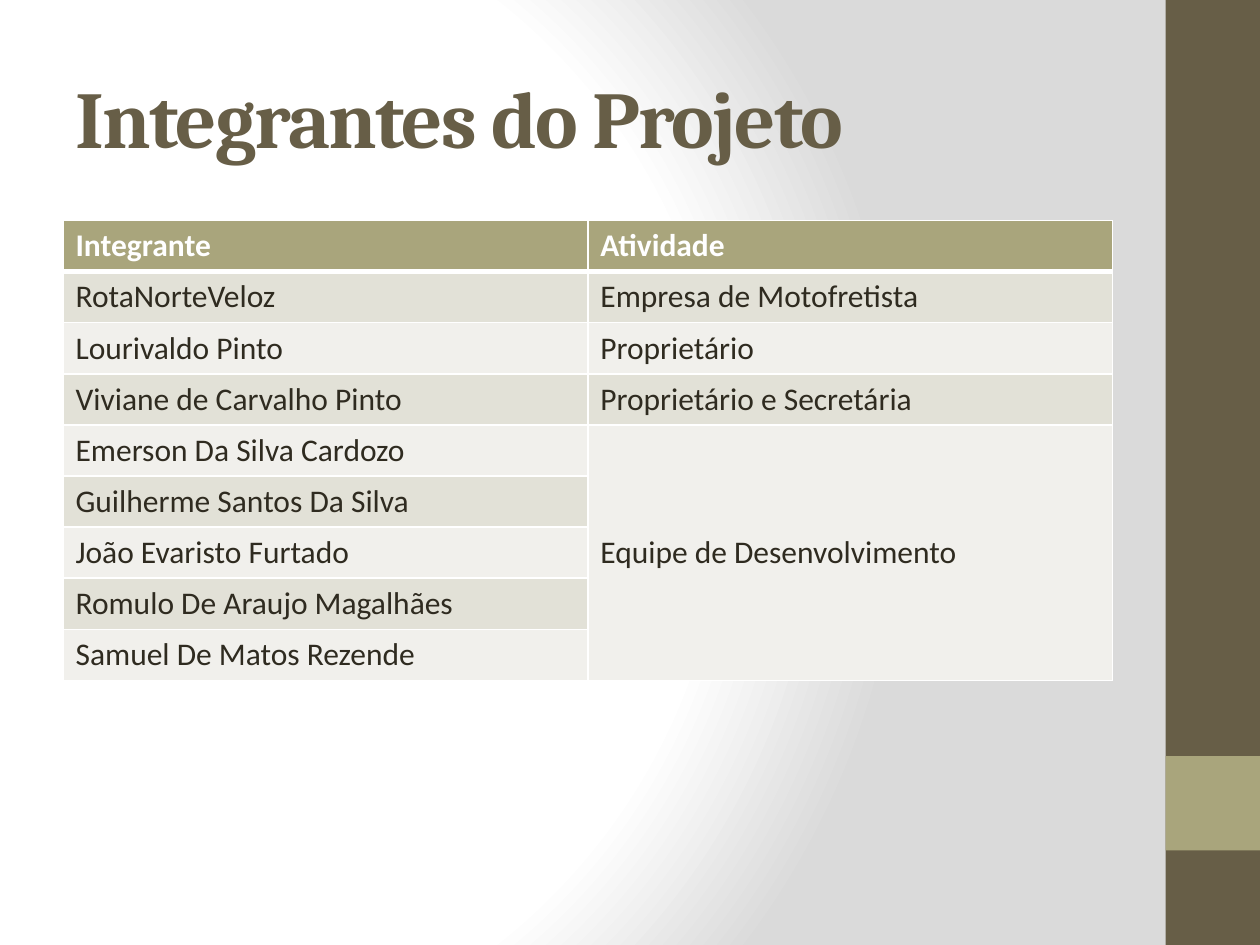
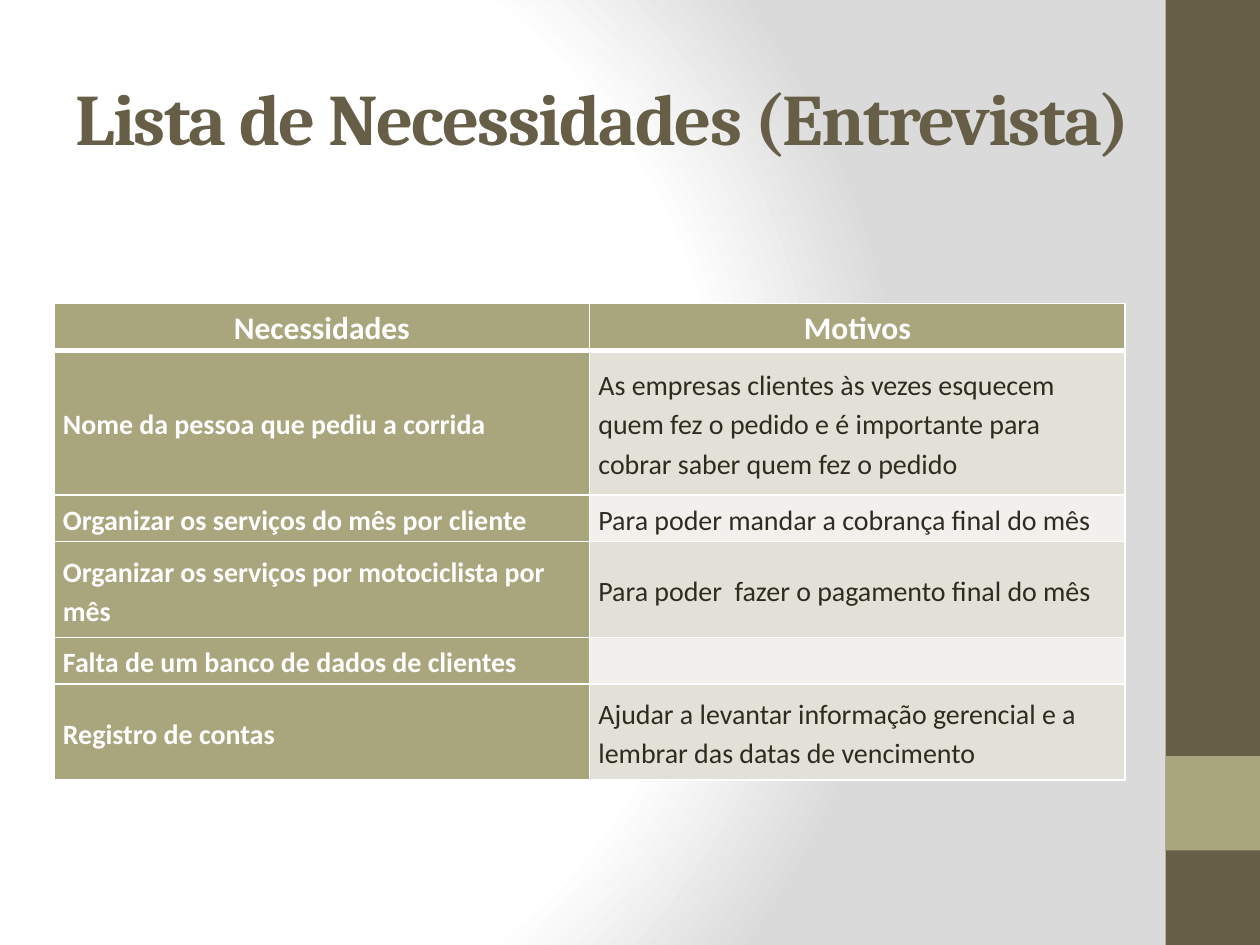
from pptx import Presentation
from pptx.dml.color import RGBColor
from pptx.enum.shapes import MSO_SHAPE
from pptx.enum.text import MSO_ANCHOR, MSO_AUTO_SIZE, PP_ALIGN
from pptx.oxml import parse_xml
from pptx.oxml.ns import nsdecls, qn
from pptx.util import Inches, Pt

BROWN, OLIVE, INK, WHITE = "675E47", "A9A57C", "2F2B20", "FFFFFF"
BANDS = ("F1F0EC", "E2E1D7")
HEAD_FONT, BODY_FONT = "Cambria", "Calibri"
BACKDROP = ((0, WHITE), (75, WHITE), (100, "DADADA"))

MEMBERS = [
    ("Integrante", "Atividade"),
    ("RotaNorteVeloz", "Empresa de Motofretista"),
    ("Lourivaldo Pinto", "Proprietário"),
    ("Viviane de Carvalho Pinto", "Proprietário e Secretária"),
    ("Emerson Da Silva Cardozo", "Equipe de Desenvolvimento"),
    ("Guilherme Santos Da Silva", ""),
    ("João Evaristo Furtado", ""),
    ("Romulo De Araujo Magalhães", ""),
    ("Samuel De Matos Rezende", ""),
]
NEEDS = [
    ("Necessidades", "Motivos"),
    ("Nome da pessoa que pediu a corrida",
     "As empresas clientes às vezes esquecem quem fez o pedido e é importante "
     "para cobrar saber quem fez o pedido"),
    ("Organizar os serviços do mês por cliente",
     "Para poder mandar a cobrança final do mês"),
    ("Organizar os serviços por motociclista por mês",
     "Para poder  fazer o pagamento final do mês"),
    ("Falta de um banco de dados de clientes", ""),
    ("Registro de contas",
     "Ajudar a levantar informação gerencial e a lembrar das datas de vencimento"),
]


def rgb(color):
    return RGBColor.from_string(color)


def set_backdrop(master):
    """Give the master a radial gradient centred left of the middle."""
    master.background.fill.solid()
    bg = master.element.find(".//" + qn("p:bgPr"))
    stops = "".join(
        f'<a:gs pos="{pos * 1000}"><a:srgbClr val="{color}"/></a:gs>'
        for pos, color in BACKDROP)
    bg.replace(bg[0], parse_xml(
        f'<a:gradFill {nsdecls("a")} rotWithShape="1"><a:gsLst>{stops}</a:gsLst>'
        '<a:path path="circle"><a:fillToRect l="20000" t="50000" r="100000" '
        'b="50000"/></a:path></a:gradFill>'))


def set_borders(cell, top, bottom):
    """Draw white cell borders, with top and bottom widths in points."""
    sides = (("lnL", 1), ("lnR", 1), ("lnT", top), ("lnB", bottom))
    tcPr = cell._tc.get_or_add_tcPr()
    for i, (side, width) in enumerate(sides):
        tcPr.insert(i, parse_xml(
            f'<a:{side} {nsdecls("a")} w="{Pt(width)}"><a:solidFill>'
            f'<a:srgbClr val="{WHITE}"/></a:solidFill></a:{side}>'))


class Deck:
    def __init__(self):
        self.prs = Presentation()
        self.prs.slide_width, self.prs.slide_height = Inches(10), Inches(7.5)
        set_backdrop(self.prs.slide_master)
        self.s = None

    def new_slide(self):
        self.s = self.prs.slides.add_slide(self.prs.slide_layouts[5])
        self.band(0, 7.5, BROWN)
        self.band(6, 0.75, OLIVE)

    def band(self, top, height, color):
        sp = self.s.shapes.add_shape(MSO_SHAPE.RECTANGLE, Inches(9.25), Inches(top),
                                     Inches(0.75), Inches(height))
        sp.shadow.inherit = False
        sp.fill.solid()
        sp.fill.fore_color.rgb = rgb(color)
        sp.line.fill.background()

    def run(self, p, text, font, size, color, bold):
        r = p.add_run()
        r.text = text
        r.font.name, r.font.size, r.font.bold = font, Pt(size), bold
        r.font.color.rgb = rgb(color)
        return r

    def title(self, text, width, size):
        sp = self.s.shapes.title
        sp.left, sp.top = Inches(0.5), Inches(0.3)
        sp.width, sp.height = Inches(width), Inches(1.25)
        tf = sp.text_frame
        tf.word_wrap, tf.auto_size = True, MSO_AUTO_SIZE.NONE
        tf.vertical_anchor = MSO_ANCHOR.MIDDLE
        p = tf.paragraphs[0]
        p.alignment = PP_ALIGN.LEFT
        r = self.run(p, text, HEAD_FONT, size, BROWN, True)
        r.font._element.set("spc", "-100")

    def table(self, rows, left, top, width, heights, size=18, first_col=False,
              compact=False):
        """Add a banded table; compact means tight margins and open lines."""
        tbl = self.s.shapes.add_table(len(rows), len(rows[0]), Inches(left), Inches(top),
                                      Inches(width), Inches(sum(heights))).table
        tbl.first_col = first_col
        for row, height in zip(tbl.rows, heights):
            row.height = Inches(height)
        for i, texts in enumerate(rows):
            for j, text in enumerate(texts):
                cell = tbl.cell(i, j)
                strong = i == 0 or (first_col and j == 0)
                cell.fill.solid()
                cell.fill.fore_color.rgb = rgb(OLIVE if strong else BANDS[i % 2])
                set_borders(cell, 3 if i == 1 else 1, 3 if i == 0 else 1)
                p = cell.text_frame.paragraphs[0]
                if compact:
                    cell.margin_left = cell.margin_right = Inches(0.07)
                    cell.margin_top = cell.margin_bottom = 0
                    p.line_spacing = 1.15
                    if i == 0:
                        p.alignment = PP_ALIGN.CENTER
                    else:
                        cell.vertical_anchor = MSO_ANCHOR.MIDDLE
                if text:
                    self.run(p, text, BODY_FONT, size if i else 18,
                             WHITE if strong else INK, strong)
        return tbl


def main():
    deck = Deck()

    deck.new_slide()
    deck.title("Integrantes do Projeto", 8.33, 46)
    members = deck.table(MEMBERS, 0.5, 1.75, 8.33, [3.65 / len(MEMBERS)] * len(MEMBERS))
    team = members.cell(4, 1)
    team.merge(members.cell(len(MEMBERS) - 1, 1))
    team.vertical_anchor = MSO_ANCHOR.MIDDLE

    deck.new_slide()
    deck.title("Lista de Necessidades (Entrevista)", 8.67, 41.4)
    deck.table(NEEDS, 0.43, 2.41, 8.5, [0.37, 1.15, 0.37, 0.76, 0.37, 0.76],
               size=16, first_col=True, compact=True)

    deck.prs.save("out.pptx")


if __name__ == "__main__":
    main()
